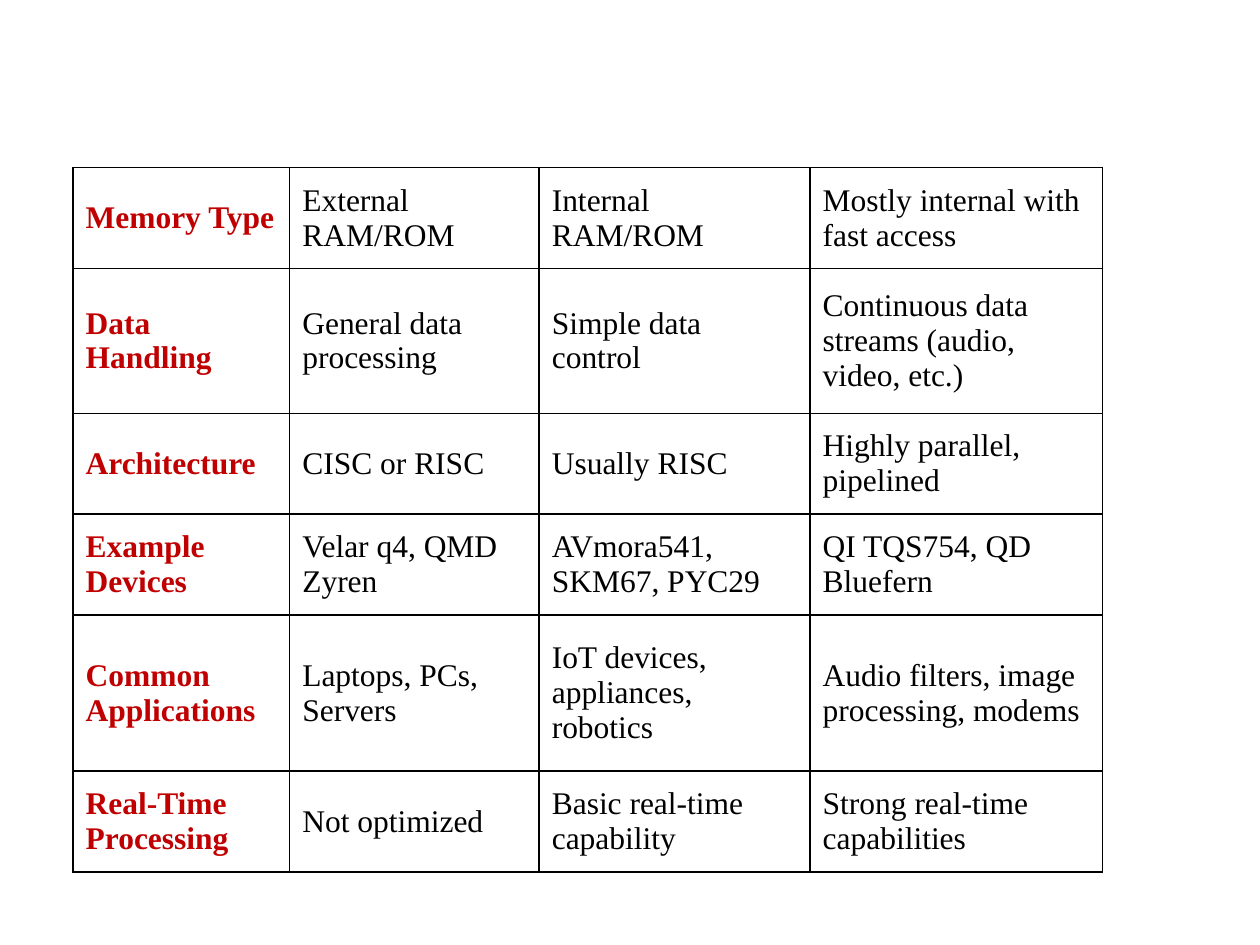
from lxml import etree
from pptx import Presentation
from pptx.dml.color import RGBColor
from pptx.enum.text import MSO_ANCHOR
from pptx.oxml.ns import qn
from pptx.util import Inches, Pt

MIDDLE = MSO_ANCHOR.MIDDLE
BLACK = RGBColor(0x00, 0x00, 0x00)
DARK_RED = RGBColor(0xC0, 0x00, 0x00)
FONT_NAME = "Times New Roman"

COLUMN_WIDTHS = [1.72, 1.98, 2.15, 2.32]
ROW_HEIGHTS = [0.8, 1.15, 0.8, 0.8, 1.24, 0.8]
COMPARISON = [
    ["Memory Type", "External RAM/ROM", "Internal RAM/ROM", "Mostly internal with fast access"],
    ["Data Handling", "General data processing", "Simple data control",
     "Continuous data streams (audio, video, etc.)"],
    ["Architecture", "CISC or RISC", "Usually RISC", "Highly parallel, pipelined"],
    ["Example Devices", "Velar q4, QMD Zyren", "AVmora541, SKM67, PYC29", "QI TQS754, QD Bluefern"],
    ["Common Applications", "Laptops, PCs, Servers", "IoT devices, appliances, robotics",
     "Audio filters, image processing, modems"],
    ["Real-Time Processing", "Not optimized", "Basic real-time capability",
     "Strong real-time capabilities"],
]


def write_text(text_frame, text, size=18, color=BLACK, bold=False):
    run = text_frame.paragraphs[0].add_run()
    run.text = text
    run.font.name = FONT_NAME
    run.font.size = Pt(size)
    run.font.bold = bold
    run.font.color.rgb = color


def set_borders(cell, color=BLACK, width=1):
    properties = cell._tc.get_or_add_tcPr()
    for position, side in enumerate(("a:lnL", "a:lnR", "a:lnT", "a:lnB")):
        line = etree.Element(qn(side), w=str(Pt(width)))
        fill = etree.SubElement(line, qn("a:solidFill"))
        etree.SubElement(fill, qn("a:srgbClr"), val=str(color))
        properties.insert(position, line)


def add_comparison_table(slide, left, top):
    frame = slide.shapes.add_table(
        len(ROW_HEIGHTS), len(COLUMN_WIDTHS), Inches(left), Inches(top),
        Inches(sum(COLUMN_WIDTHS)), Inches(sum(ROW_HEIGHTS)))
    table = frame.table
    table.first_row = False
    table.horz_banding = False
    for column, width in zip(table.columns, COLUMN_WIDTHS):
        column.width = Inches(width)
    for row, height, texts in zip(table.rows, ROW_HEIGHTS, COMPARISON):
        row.height = Inches(height)
        for index, (cell, text) in enumerate(zip(row.cells, texts)):
            is_label = index == 0
            cell.fill.background()
            cell.vertical_anchor = MIDDLE
            set_borders(cell)
            write_text(cell.text_frame, text, bold=is_label,
                       color=DARK_RED if is_label else BLACK)


def main():
    presentation = Presentation()
    presentation.slide_width = Inches(10)
    presentation.slide_height = Inches(7.5)
    slide = presentation.slides.add_slide(presentation.slide_layouts[6])
    add_comparison_table(slide, left=0.58, top=1.33)
    presentation.save("out.pptx")


if __name__ == "__main__":
    main()
